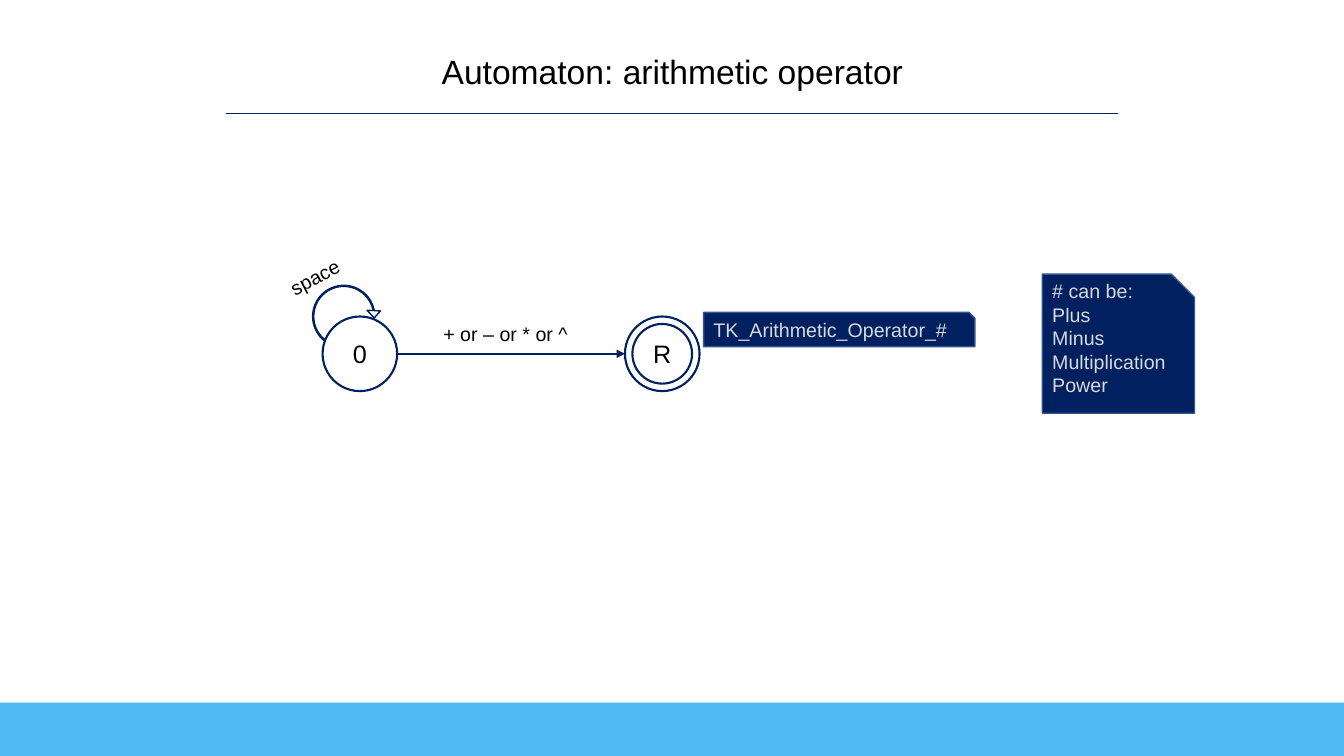
import pptx
import pptx.util
import pptx.dml.color
import pptx.enum.shapes
import pptx.enum.text
import lxml.etree

SHAPE = pptx.enum.shapes.MSO_SHAPE
ALIGN = pptx.enum.text.PP_ALIGN
MIDDLE = pptx.enum.text.MSO_ANCHOR.MIDDLE
WIDTH, HEIGHT = pptx.util.Inches(13.33), pptx.util.Inches(7.5)
NAVY, EDGE, SKY, BLACK, GREY = "002060", "325491", "4FBAF4", "000000", "D9D9D9"
STATE_W, STATE_H, STATE_Y = 5.55, 9.87, 41.87
LINE_H = 4.53


def rgb(value):
    return pptx.dml.color.RGBColor.from_string(value)


def box(x, y, w, h):
    return (int(WIDTH * x / 100), int(HEIGHT * y / 100),
            int(WIDTH * w / 100), int(HEIGHT * h / 100))


def write(sp, lines, size, color=BLACK, align=ALIGN.LEFT, wrap=True):
    tf = sp.text_frame
    tf.word_wrap = wrap
    tf.text = "\n".join(lines)
    for p in tf.paragraphs:
        p.alignment = align
        p.font.name = "Arial"
        p.font.size = pptx.util.Pt(size)
        p.font.color.rgb = rgb(color)


def add_figure(slide, kind, area, fill=None, line=None, width=1, adjust=()):
    sp = slide.shapes.add_shape(kind, *box(*area))
    sp.shadow.inherit = False
    for i, value in enumerate(adjust):
        sp.adjustments[i] = value
    if fill:
        sp.fill.solid()
        sp.fill.fore_color.rgb = rgb(fill)
    else:
        sp.fill.background()
    if line:
        sp.line.color.rgb = rgb(line)
        sp.line.width = pptx.util.Pt(width)
    else:
        sp.line.fill.background()
    return sp


def add_label(slide, area, lines, color=BLACK, rotation=0):
    sp = slide.shapes.add_textbox(*box(*area))
    sp.rotation = rotation
    write(sp, lines, 14, color)


def add_note(slide, x, y, size, text_size, lines):
    add_figure(slide, SHAPE.SNIP_1_RECTANGLE, (x, y, *size), NAVY, EDGE)
    add_label(slide, (x, y, *text_size), lines, GREY)


def add_state(slide, kind, x, name, adjust=()):
    sp = add_figure(slide, kind, (x, STATE_Y, STATE_W, STATE_H),
                    line=NAVY, width=1.5, adjust=adjust)
    write(sp, [name], 18, align=ALIGN.CENTER)
    sp.text_frame.vertical_anchor = MIDDLE


def add_line(slide, x1, x2, y, width, arrow=False):
    left, top, length, _ = box(x1, y, x2 - x1, 0)
    c = slide.shapes.add_connector(pptx.enum.shapes.MSO_CONNECTOR.STRAIGHT,
                                   left, top, left + length, top)
    c.line.color.rgb = rgb(NAVY)
    c.line.width = pptx.util.Pt(width)
    ns = pptx.oxml.ns.qn
    if arrow:
        lxml.etree.SubElement(c.line._get_or_add_ln(), ns("a:tailEnd"), type="triangle")
    lxml.etree.SubElement(c._element.spPr, ns("a:effectLst"))


def add_title(slide, area, text):
    sp = slide.shapes.title
    sp.left, sp.top, sp.width, sp.height = box(*area)
    write(sp, [text], 24, align=ALIGN.CENTER, wrap=False)
    sp.text_frame.vertical_anchor = MIDDLE


def main():
    prs = pptx.Presentation()
    prs.slide_width, prs.slide_height = WIDTH, HEIGHT
    slide = prs.slides.add_slide(prs.slide_layouts[5])
    start_x, final_x = 24, 46.5

    add_note(slide, 77.55, 36.27, (11.33, 18.4), (12.68, 17.07),
             ["# can be:", "Plus", "Minus", "Multiplication", "Power"])
    add_note(slide, 52.35, 41.33, (20.18, LINE_H), (21.75, LINE_H),
             ["TK_Arithmetic_Operator_#"])

    add_state(slide, SHAPE.FLOWCHART_CONNECTOR, start_x, "0")
    add_line(slide, start_x + STATE_W, final_x, STATE_Y + STATE_H / 2, 1.5, arrow=True)
    add_label(slide, (32.25, STATE_Y, 11.55, LINE_H), ["+ or – or * or ^"])
    add_figure(slide, SHAPE.CIRCULAR_ARROW, (22.8, 36.93, STATE_W, STATE_H),
               line=NAVY, adjust=(0.015, 8.28, 209.42, 76.68, 0.09))
    add_label(slide, (20.7, 34.13, 6.08, LINE_H), ["space"], rotation=332.3)
    add_state(slide, SHAPE.DONUT, final_x, "R", adjust=(0.1,))

    add_title(slide, (28.8, 6, 42.45, 6.67), "Automaton: arithmetic operator")
    add_line(slide, 16.8, 83.18, 14.93, 0.5)
    add_figure(slide, SHAPE.RECTANGLE, (0, 92.93, 100, 7.07), SKY)
    prs.save("out.pptx")


main()
